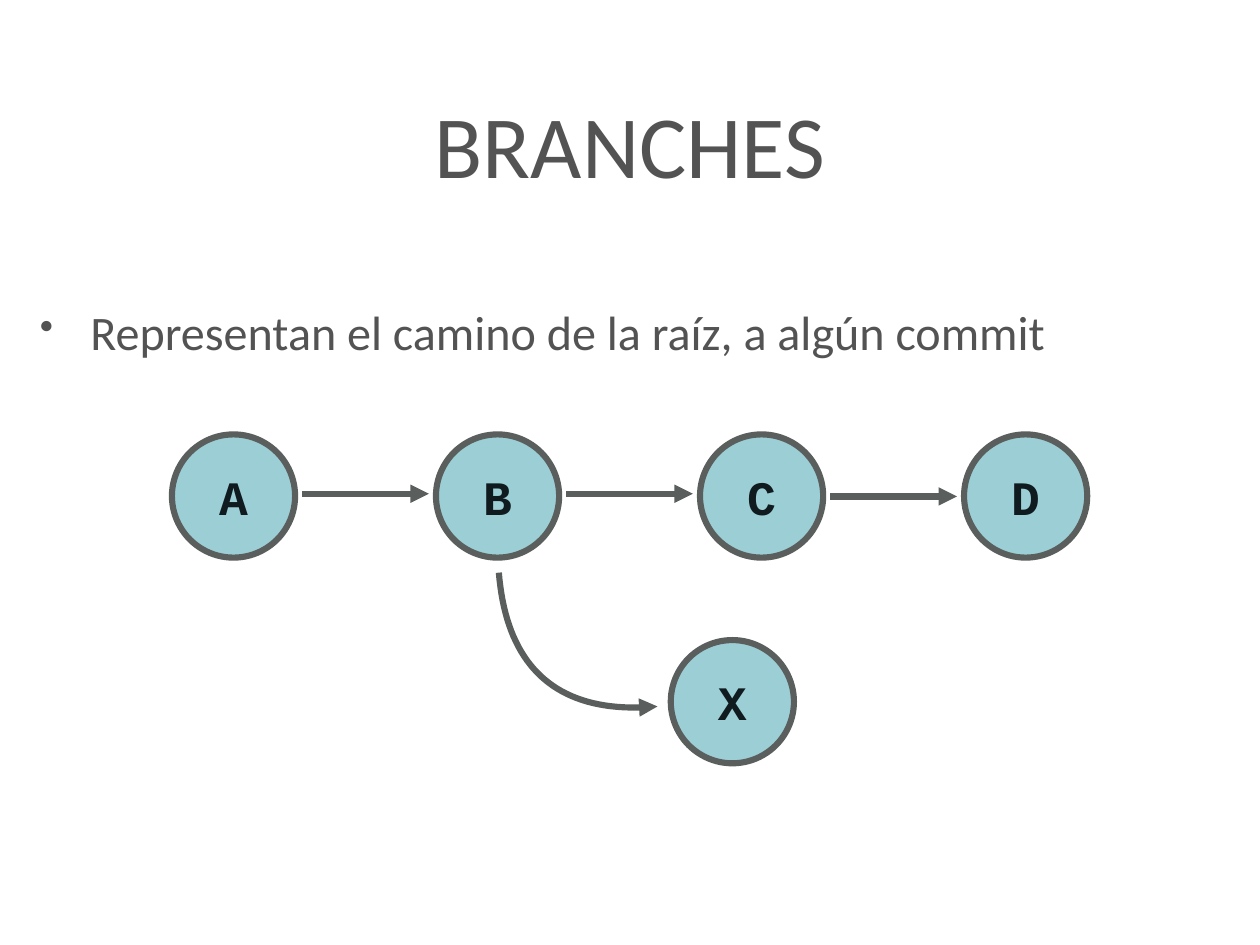
"""Build a slide that shows a commit chain with one branch."""
from lxml import etree
from pptx import Presentation
from pptx import util as u
from pptx.dml.color import RGBColor
from pptx.enum import shapes, text
from pptx.oxml import ns

GRAY = RGBColor(0x53, 0x53, 0x53)
STROKE = RGBColor(0x5A, 0x5F, 0x5E)
TEAL = RGBColor(0x9C, 0xCE, 0xD5)
INK = RGBColor(0x0F, 0x1B, 0x1F)

WIDTH, HEIGHT = 14.22, 10.66
MARGIN = 0.39
DIAMETER = 1.39
LEFT, TOP, STEP = 1.94, 4.9, 2.98
GAP = 0.08
CURVE = [(5.63, 6.46), (5.72, 7.56), (6.32, 8.07), (7.42, 7.97)]
CURVE_PARTS = 40


def write(shape, words, inset, align, size, font, color, bold=False):
    frame = shape.text_frame
    frame.word_wrap = True
    frame.auto_size = text.MSO_AUTO_SIZE.NONE
    frame.vertical_anchor = text.MSO_ANCHOR.MIDDLE
    frame.margin_left = frame.margin_right = u.Inches(inset)
    frame.margin_top = frame.margin_bottom = u.Inches(inset)
    para = frame.paragraphs[0]
    para.alignment = align
    span = para.add_run()
    span.text = words
    span.font.size = u.Pt(size)
    span.font.name = font
    span.font.bold = bold
    span.font.color.rgb = color
    return para


def draw_arrow(shape):
    shape.line.color.rgb = STROKE
    shape.line.width = u.Pt(5)
    line = shape.line._get_or_add_ln()
    etree.SubElement(line, ns.qn("a:tailEnd"), type="triangle")
    if shape.shape_type == shapes.MSO_SHAPE_TYPE.FREEFORM:
        shape.shadow.inherit = False
    else:
        etree.SubElement(shape._element.spPr, ns.qn("a:effectLst"))


deck = Presentation()
deck.slide_width, deck.slide_height = u.Inches(WIDTH), u.Inches(HEIGHT)
page = deck.slides.add_slide(deck.slide_layouts[5])

title = page.shapes.title
title.left, title.top = u.Inches(MARGIN), u.Inches(0.28)
title.width, title.height = u.Inches(WIDTH - 2 * MARGIN), u.Inches(2.67)
write(title, "BRANCHES", 0.06, text.PP_ALIGN.CENTER, 72, "Calibri", GRAY)

body = page.shapes.add_textbox(u.Inches(MARGIN), u.Inches(2.99),
                               u.Inches(WIDTH - 2 * MARGIN), u.Inches(1.42))
para = write(body, "Representan el camino de la raíz, a algún commit",
             0.06, text.PP_ALIGN.LEFT, 39.1, "Calibri", GRAY)
para.line_spacing = 1.1
properties = para._p.get_or_add_pPr()
properties.set("marL", str(u.Inches(0.57)))
properties.set("indent", str(-u.Inches(0.57)))
bullet_color = etree.SubElement(properties, ns.qn("a:buClr"))
etree.SubElement(bullet_color, ns.qn("a:srgbClr"), val=str(GRAY))
etree.SubElement(properties, ns.qn("a:buSzPct"), val="82000")
etree.SubElement(properties, ns.qn("a:buChar"), char="•")

commits = [(name, LEFT + column * STEP, TOP) for column, name in enumerate("ABCD")]
for name, left, top in commits + [("X", 7.57, 7.22)]:
    circle = page.shapes.add_shape(shapes.MSO_SHAPE.OVAL, u.Inches(left), u.Inches(top),
                                   u.Inches(DIAMETER), u.Inches(DIAMETER))
    circle.shadow.inherit = False
    circle.fill.solid()
    circle.fill.fore_color.rgb = TEAL
    circle.line.color.rgb = STROKE
    circle.line.width = u.Pt(5)
    write(circle, name, 0, text.PP_ALIGN.CENTER, 39, "Courier New", INK, bold=True)

for column, level in enumerate([5.57, 5.57, 5.6]):
    start = LEFT + column * STEP + DIAMETER + GAP
    end = LEFT + (column + 1) * STEP - GAP
    arrow = page.shapes.add_connector(shapes.MSO_CONNECTOR.STRAIGHT, u.Inches(start),
                                      u.Inches(level), u.Inches(end), u.Inches(level))
    draw_arrow(arrow)

points = []
for part in range(CURVE_PARTS + 1):
    t = part / CURVE_PARTS
    weights = [(1 - t) ** 3, 3 * t * (1 - t) ** 2, 3 * t ** 2 * (1 - t), t ** 3]
    points.append([u.Inches(sum(w * point[axis] for w, point in zip(weights, CURVE)))
                   for axis in (0, 1)])
builder = page.shapes.build_freeform(*points[0])
builder.add_line_segments(points[1:], close=False)
branch = builder.convert_to_shape()
branch.fill.background()
draw_arrow(branch)

deck.save("out.pptx")
